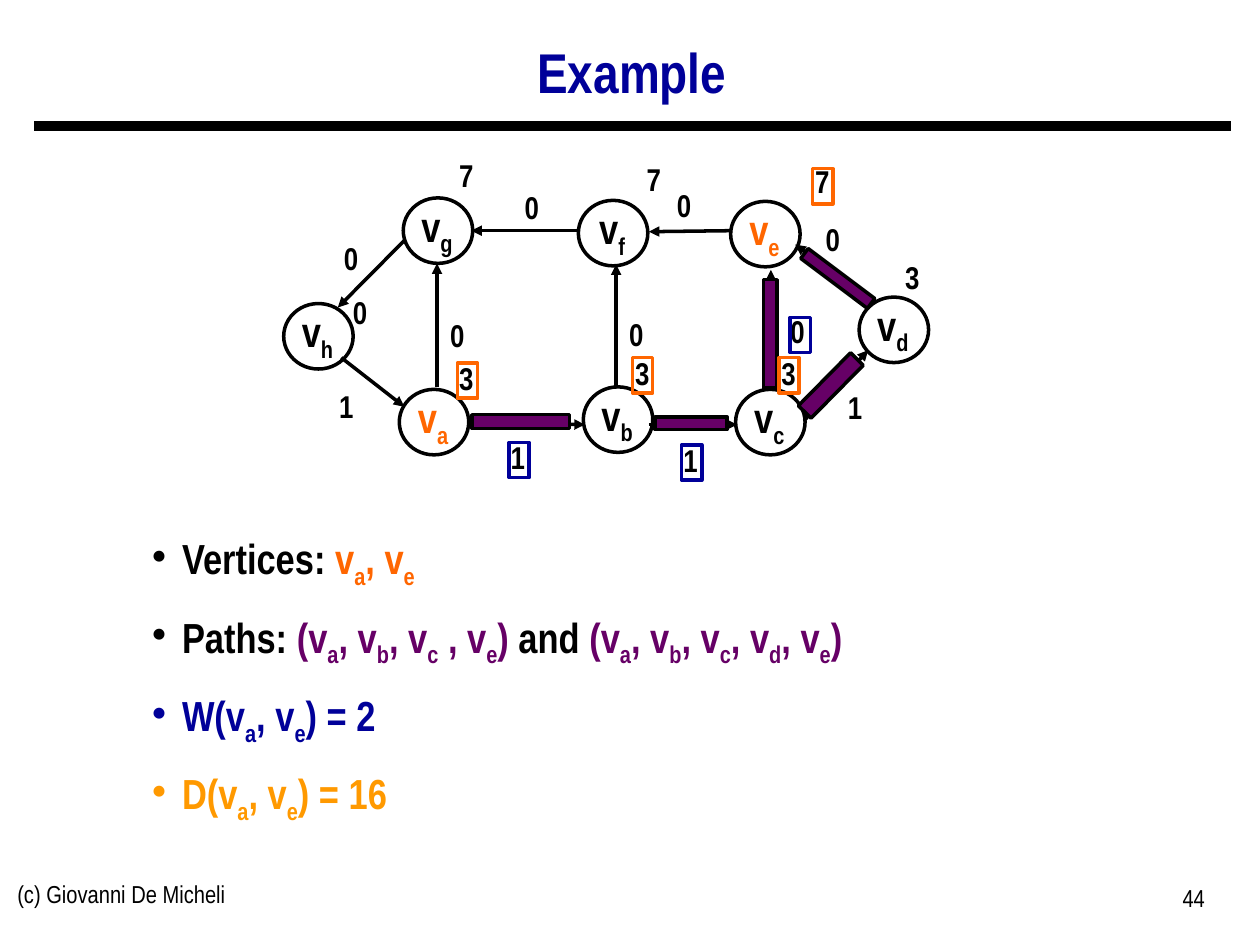
from pptx import Presentation
from pptx.dml.color import RGBColor
from pptx.enum.shapes import MSO_CONNECTOR, MSO_SHAPE
from pptx.enum.text import MSO_ANCHOR, PP_ALIGN
from pptx.oxml.ns import qn
from pptx.util import Cm, Pt
from lxml import etree

LEFT, CENTER, RIGHT = PP_ALIGN.LEFT, PP_ALIGN.CENTER, PP_ALIGN.RIGHT
MIDDLE = MSO_ANCHOR.MIDDLE
STRAIGHT = MSO_CONNECTOR.STRAIGHT
RECT, CIRCLE = MSO_SHAPE.RECTANGLE, MSO_SHAPE.FLOWCHART_CONNECTOR

BLACK = RGBColor(0x00, 0x00, 0x00)
BLUE = RGBColor(0x00, 0x00, 0x99)
ORANGE = RGBColor(0xFF, 0x66, 0x00)
AMBER = RGBColor(0xFF, 0x99, 0x00)
PURPLE = RGBColor(0x66, 0x00, 0x66)


def write(p, text, size, color=BLACK, bold=True, align=LEFT):
    p.alignment = align
    for i, piece in enumerate(text.split("_")):
        parts = [(piece[:1], True), (piece[1:], False)] if i else [(piece, False)]
        for part, subscript in parts:
            if not part:
                continue
            r = p.add_run()
            r.text = part
            fmt = {"name": "Arial Narrow", "size": Pt(size), "bold": bold}
            for key, value in fmt.items():
                setattr(r.font, key, value)
            r.font.color.rgb = color
            if subscript:
                r.font._element.set("baseline", "-25000")


def outline(kind, x, y, w, h, color, fill=None):
    sp = s.shapes.add_shape(kind, Cm(x), Cm(y), Cm(w), Cm(h))
    sp.shadow.inherit = False
    sp.line.color.rgb = color
    sp.line.width = Pt(2)
    if fill is None:
        sp.fill.background()
    else:
        sp.fill.solid()
        sp.fill.fore_color.rgb = fill
    return sp


prs = Presentation()
prs.slide_width, prs.slide_height = Cm(25.4), Cm(19.05)
s = prs.slides.add_slide(prs.slide_layouts[5])

title = s.shapes.title
place = {"left": Cm(0.66), "top": Cm(0.56), "width": Cm(24.16), "height": Cm(1.9)}
for key, value in place.items():
    setattr(title, key, value)
title.text_frame.vertical_anchor = MIDDLE
p = title.text_frame.paragraphs[0]
p.line_spacing = 0.9
write(p, "Example", 32, BLUE, align=CENTER)

nodes = {
    "a": (8.05, 7.85), "b": (11.76, 7.8), "c": (14.83, 7.85), "d": (17.32, 5.99),
    "e": (14.73, 4.06), "f": (11.66, 4.04), "g": (8.13, 3.99), "h": (5.72, 6.12),
}
weights = {
    "0": [(16.03, 4.32), (13.03, 3.63), (15.32, 6.17), (12.07, 6.22),
          (8.46, 6.25), (9.96, 3.66), (6.32, 4.7), (6.5, 5.79)],
    "1": [(16.48, 7.7), (13.16, 8.76), (9.68, 8.71), (6.22, 7.67)],
    "3": [(17.63, 5.08), (15.14, 7.01), (12.19, 7.01), (8.64, 7.11)],
    "7": [(8.64, 3.02), (12.42, 3.1), (15.82, 3.15)],
}
rule = (0.69, 2.54, 24.82, 2.54)
edges = [
    (8.81, 7.8, 8.81, 5.31),
    (8.15, 4.85, 6.81, 6.2),
    (6.88, 7.21, 8.15, 8.2),
    (12.42, 7.8, 12.42, 5.33),
    (14.76, 4.65, 13.08, 4.67),
    (16.21, 8.48, 17.5, 7.06),
    (17.63, 6.1, 16.03, 4.93),
    (15.54, 7.8, 15.54, 5.44),
    (9.42, 8.53, 11.79, 8.56),
    (13.08, 8.56, 14.86, 8.56),
    (11.63, 4.65, 9.5, 4.65),
]

for x, y in nodes.values():
    outline(CIRCLE, x, y, 1.4, 1.32, BLACK)

for ends in [rule] + edges:
    line = s.shapes.add_connector(STRAIGHT, *[Cm(v) for v in ends])
    line.line.color.rgb = BLACK
    line.line.width = Pt(6 if ends == rule else 2)
    if ends != rule:
        etree.SubElement(line.line._get_or_add_ln(), qn("a:tailEnd"), type="triangle")
    etree.SubElement(line._element.spPr, qn("a:effectLst"))

labels = [(x, y, 1.52, 1.02, text, 18, BLACK, True, CENTER)
          for text, spots in weights.items() for x, y in spots]
labels += [(x - 1.1, y - 0.08, 3.56, 1.27, "v_" + name, 24,
            ORANGE if name in "ae" else BLACK, True, CENTER)
           for name, (x, y) in nodes.items()]
labels += [
    (0.1, 17.6, 8.05, 1.32, "(c) Giovanni De Micheli", 14, BLACK, False, LEFT),
    (18.62, 17.68, 5.92, 1.32, "44", 14, BLACK, False, RIGHT),
]
for x, y, w, h, *text_format in labels:
    tf = s.shapes.add_textbox(Cm(x), Cm(y), Cm(w), Cm(h)).text_frame
    tf.word_wrap = True
    write(tf.paragraphs[0], *text_format)

bullets = [
    [("Vertices: ", BLACK), ("v_a, v_e", ORANGE)],
    [("Paths: ", BLACK), ("(v_a, v_b, v_c , v_e)", PURPLE), (" and ", BLACK),
     ("(v_a, v_b, v_c, v_d, v_e)", PURPLE)],
    [("W(v_a, v_e) = 2", BLUE)],
    [("D(v_a, v_e) = 16", AMBER)],
]
tf = s.shapes.add_textbox(Cm(2.82), Cm(10.62), Cm(18.77), Cm(5.84)).text_frame
tf.word_wrap = True
for i, parts in enumerate(bullets):
    p = tf.add_paragraph() if i else tf.paragraphs[0]
    pPr = p._element.get_or_add_pPr()
    pPr.set("marL", str(Cm(0.6)))
    pPr.set("indent", str(-Cm(0.6)))
    etree.SubElement(pPr, qn("a:buChar"), char="•")
    if i:
        p.space_before = Pt(12)
    for text, color in parts:
        write(p, text, 24, color)

bars = [
    (9.52, 8.36, 1.96, 0.28, 0),
    (13.21, 8.41, 1.45, 0.25, 0),
    (15.39, 5.64, 0.28, 2.18, 0),
    (16, 7.59, 1.5, 0.36, 314.6),
    (16.05, 5.49, 1.68, 0.25, 36.9),
]
for x, y, w, h, angle in bars:
    outline(RECT, x, y, w, h, BLACK, PURPLE).rotation = angle

frames = {
    ORANGE: [(9.22, 7.32), (16.38, 3.4), (12.75, 7.21), (15.7, 7.21)],
    BLUE: [(10.26, 8.92), (15.93, 6.4), (13.74, 8.97)],
}
for color, spots in frames.items():
    for x, y in spots:
        outline(RECT, x, y, 0.41, 0.71, color)

prs.save("out.pptx")
